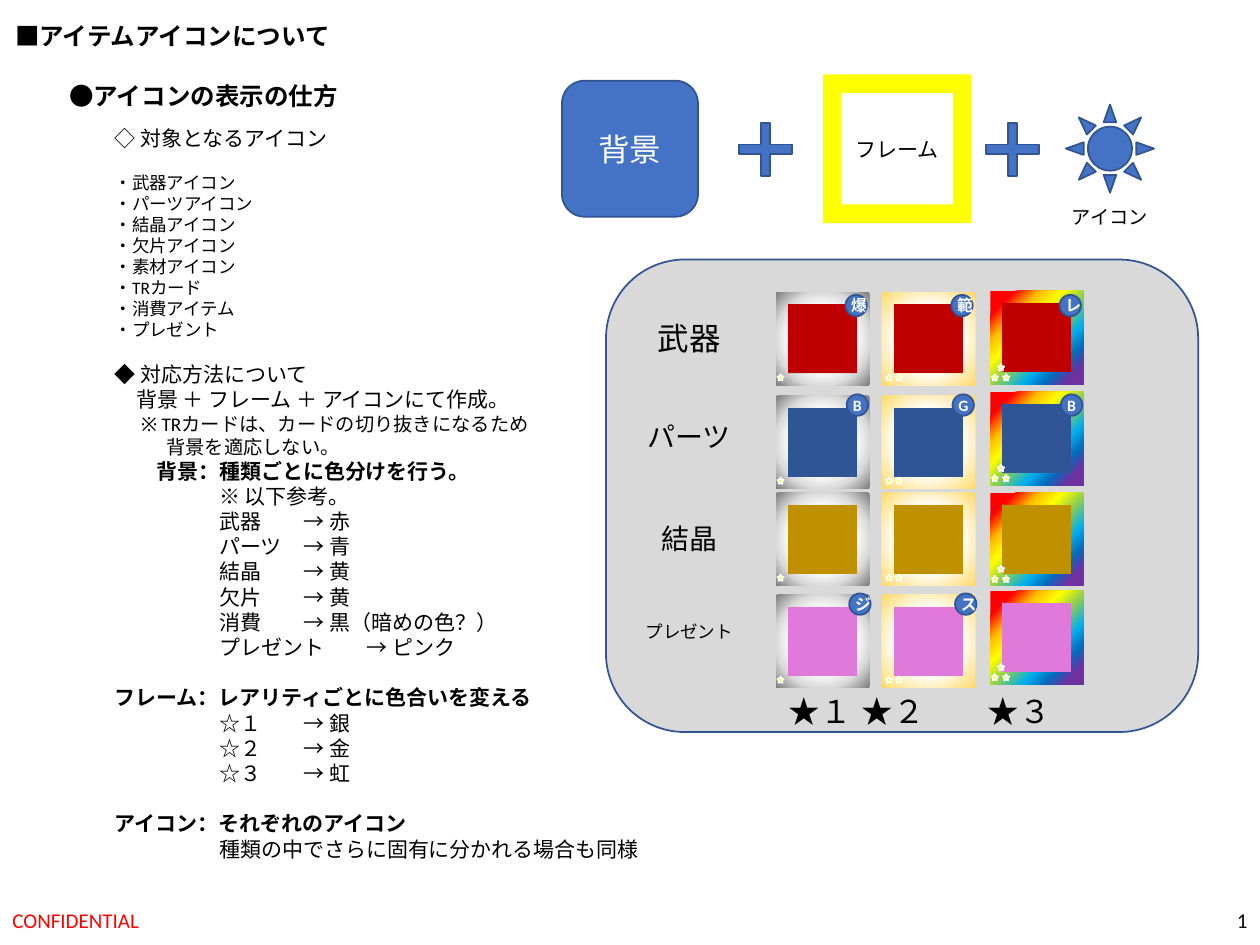
from lxml.etree import SubElement
from pptx import Presentation
from pptx.dml.color import RGBColor
from pptx.enum.shapes import MSO_SHAPE
from pptx.enum.text import MSO_ANCHOR, MSO_AUTO_SIZE, PP_ALIGN
from pptx.oxml import parse_xml
from pptx.oxml.ns import nsdecls, qn
from pptx.util import Inches, Pt

BLUE, OUTLINE, WHITE, BLACK = "4472C4", "325491", "FFFFFF", "000000"
RADIAL = '<a:path path="circle"><a:fillToRect l="50000" t="50000" r="50000" b="50000"/></a:path>'
DIAGONAL = '<a:lin ang="2700000" scaled="0"/>'
SILVER = ([(49, WHITE), (71, "DBDBDB"), (100, "7C7C7C")], RADIAL)
GOLD = ([(50, WHITE), (83, "FFE699"), (100, "FFD966")], RADIAL)
RAINBOW = ([(13, "FF0000"), (27, "FFC000"), (39, "FFFF00"), (52, "92D050"),
            (67, "00B0F0"), (78, "0070C0"), (90, "7030A0")], DIAGONAL)

# Left offset of background and frame, frame style, and star offsets from the frame
RARITIES = [
    (0.01, 0, SILVER, [(0.01, 0.65)]),
    (0.86, 0.84, GOLD, [(0.03, 0.65), (0.11, 0.65)]),
    (1.71, 1.7, RAINBOW, [(0.01, 0.66), (0.1, 0.66), (0.06, 0.58)]),
]
# Label, label size and top, colour, tops of background, frame, rainbow frame and badge,
# left offset of the badge, badges
ITEM_KINDS = [
    ("武器", 18, 0.42, "C00000", 0.3, 0.26, 0.25, 0.28, 0.55, "爆範レ"),
    ("パーツ", 16, 1.22, "2F5597", 1.1, 1.08, 1.05, 1.07, 0.56, "BGB"),
    ("結晶", 16, 2.03, "BF9000", 1.9, 1.85, 1.85, 0, 0, ""),
    ("プレゼント", 10, 2.82, "E179DA", 2.68, 2.66, 2.63, 2.65, 0.58, "ジス"),
]

# Text, size, bold, indent, tab stop, space before
EXPLANATION = [
    ("◇ 対象となるアイコン", 12, False, 0, None, 0),
    ("・武器アイコン", 10, False, 0, None, 12),
    *[(item, 10, False, 0, None, 0) for item in (
        "・パーツアイコン", "・結晶アイコン", "・欠片アイコン", "・素材アイコン",
        "・TRカード", "・消費アイテム", "・プレゼント")],
    ("◆ 対応方法について", 12, False, 0, None, 12),
    ("背景 ＋ フレーム ＋ アイコンにて作成。", 12, False, 0.17, None, 0),
    ("※ TRカードは、カードの切り抜きになるため", 11, False, 0.21, None, 0),
    ("背景を適応しない。", 11, False, 0.41, None, 0),
    ("背景：種類ごとに色分けを行う。", 12, True, 0.33, None, 0),
    ("※ 以下参考。", 12, False, 0.83, None, 0),
    *[(f"{kind}\t→ {colour}", 12, False, 0.83, 1.7, 0) for kind, colour in (
        ("武器", "赤"), ("パーツ", "青"), ("結晶", "黄"), ("欠片", "黄"),
        ("消費", "黒（暗めの色？）"), ("プレゼント", "ピンク"))],
    ("フレーム：レアリティごとに色合いを変える", 12, True, 0, None, 14.4),
    *[(f"{stars}\t→ {colour}", 12, False, 0.83, 1.54, 0) for stars, colour in (
        ("☆１", "銀"), ("☆２", "金"), ("☆３", "虹"))],
    ("アイコン：それぞれのアイコン", 12, True, 0, None, 14.4),
    ("種類の中でさらに固有に分かれる場合も同様", 12, False, 0.83, None, 0),
]


def rgb(hex_colour):
    return RGBColor.from_string(hex_colour)


def indent_first_line(paragraph, indent, tabs=()):
    """Indent an unbulleted line and set its tab stops, in inches from the text edge."""
    properties = paragraph._p.get_or_add_pPr()
    properties.set("marL", "0")
    properties.set("indent", str(Inches(indent)))
    SubElement(properties, qn("a:buNone"))
    if tabs:
        tab_list = SubElement(properties, qn("a:tabLst"))
        for stop in tabs:
            SubElement(tab_list, qn("a:tab"), pos=str(Inches(stop)), algn="l")


def format_text(paragraph, size, colour=BLACK, bold=False, align=PP_ALIGN.LEFT, font="Calibri"):
    paragraph.alignment = align
    paragraph.font.size = Pt(size)
    paragraph.font.bold = bold
    paragraph.font.name = font
    paragraph.font.color.rgb = rgb(colour)


def place(placeholder, left, top, width, height):
    placeholder.left, placeholder.top = Inches(left), Inches(top)
    placeholder.width, placeholder.height = Inches(width), Inches(height)


def add_text(slide, box, text, size, wrap=True, anchor=MSO_ANCHOR.TOP, **style):
    frame = slide.shapes.add_textbox(*map(Inches, box)).text_frame
    frame.word_wrap = wrap
    frame.vertical_anchor = anchor
    paragraph = frame.paragraphs[0]
    paragraph.text = text
    format_text(paragraph, size, **style)
    return paragraph


def add_preset(shapes, kind, box, fill=BLUE, line=OUTLINE, adjustment=None):
    shape = shapes.add_shape(kind, *map(Inches, box))
    shape.shadow.inherit = False
    shape.fill.solid()
    shape.fill.fore_color.rgb = rgb(fill)
    if line:
        shape.line.color.rgb = rgb(line)
        shape.line.width = Pt(1)
    else:
        shape.line.fill.background()
    if adjustment is not None:
        shape.adjustments[0] = adjustment
    return shape


def label(shape, text, size, **style):
    shape.text_frame.vertical_anchor = MSO_ANCHOR.MIDDLE
    paragraph = shape.text_frame.paragraphs[0]
    paragraph.text = text
    format_text(paragraph, size, align=PP_ALIGN.CENTER, **style)


def fill_gradient(shape, stops, direction):
    stop_list = "".join(f'<a:gs pos="{position * 1000}"><a:srgbClr val="{colour}"/></a:gs>'
                        for position, colour in stops)
    gradient = parse_xml(f'<a:gradFill {nsdecls("a")} rotWithShape="1">'
                         f'<a:gsLst>{stop_list}</a:gsLst>{direction}</a:gradFill>')
    properties = shape._element.spPr
    properties.replace(properties.find(qn("a:solidFill")), gradient)


def add_headings(slide):
    title = slide.shapes.title
    place(title, 0.02, 0.12, 2.75, 0.34)
    frame = title.text_frame
    frame.text = "■アイテムアイコンについて"
    frame.word_wrap = False
    frame.auto_size = MSO_AUTO_SIZE.NONE
    frame.vertical_anchor = MSO_ANCHOR.TOP
    format_text(frame.paragraphs[0], 14, bold=True, font="Arial")
    add_text(slide, (0.45, 0.59, 2.36, 0.34), "●アイコンの表示の仕方", 14, wrap=False, bold=True)


def add_explanation(slide, left, top, width, height):
    body = slide.placeholders[1]
    place(body, left, top, width, height)
    frame = body.text_frame
    frame.auto_size = MSO_AUTO_SIZE.NONE
    for number, (text, size, bold, indent, tab, space) in enumerate(EXPLANATION):
        paragraph = frame.add_paragraph() if number else frame.paragraphs[0]
        paragraph.text = text
        paragraph.space_before = Pt(space)
        indent_first_line(paragraph, indent, [tab] if tab else [])
        format_text(paragraph, size, bold=bold)


def add_formula(slide, left, top):
    """Background plus frame plus icon."""
    shapes = slide.shapes
    background = add_preset(shapes, MSO_SHAPE.ROUNDED_RECTANGLE, (left, top + 0.05, 1.08, 1.08))
    label(background, "背景", 18, colour=WHITE)
    add_preset(shapes, MSO_SHAPE.SUN, (left + 4, top + 0.24, 0.7, 0.7))
    for offset in (1.33, 3.29):
        add_preset(shapes, MSO_SHAPE.MATH_PLUS, (left + offset, top + 0.31, 0.57, 0.57),
                   adjustment=0.129)
    frame = add_preset(shapes, MSO_SHAPE.FRAME, (left + 2.07, top, 1.18, 1.18), "FFFF00", None)
    label(frame, "フレーム", 12)
    add_text(slide, (left + 3.9, top + 0.99, 0.9, 0.29), "アイコン", 11, align=PP_ALIGN.CENTER)


def add_item_icon(slide, left, background_top, frame_top, colour, rarity):
    background_left, frame_left, style, stars = rarity
    add_preset(slide.shapes, MSO_SHAPE.ROUNDED_RECTANGLE,
               (left + background_left, background_top, 0.67, 0.67), colour)
    frame = add_preset(slide.shapes, MSO_SHAPE.FRAME,
                       (left + frame_left, frame_top, 0.74, 0.74), line=None)
    fill_gradient(frame, *style)
    star_shapes = slide.shapes.add_group_shape().shapes if len(stars) > 1 else slide.shapes
    for x, y in stars:
        add_preset(star_shapes, MSO_SHAPE.STAR_5_POINT,
                   (left + frame_left + x, frame_top + y, 0.05, 0.05), "FFFF00", WHITE, 0.259)


def add_examples(slide, left, top, width, height):
    """Panel of sample icons, one row per item kind and one column per rarity."""
    add_preset(slide.shapes, MSO_SHAPE.ROUNDED_RECTANGLE, (left, top, width, height), "D9D9D9")
    icons_left = left + 1.35
    for (name, size, name_top, colour, background_top, frame_top, rainbow_top,
         badge_top, badge_left, badges) in ITEM_KINDS:
        add_text(slide, (left + 0.2, top + name_top, 0.92, 0.4), name, size,
                 align=PP_ALIGN.CENTER)
        for rarity in RARITIES:
            icon_top = rainbow_top if rarity[2] is RAINBOW else frame_top
            add_item_icon(slide, icons_left, top + background_top, top + icon_top, colour, rarity)
        for rarity, letter in zip(RARITIES, badges):
            badge = add_preset(slide.shapes, MSO_SHAPE.OVAL,
                               (icons_left + rarity[1] + badge_left, top + badge_top, 0.17, 0.17))
            label(badge, letter, 9, colour=WHITE, bold=True)
    captions = add_text(slide, (left + 0.43, top + 3.38, 4.2, 0.4), "★１\t★２\t★３", 18)
    indent_first_line(captions, 0.92, [1.73, 2.6])


def add_footer(slide, top, height):
    add_text(slide, (0, top, 3.38, height), "CONFIDENTIAL", 12, colour="FF0000",
             anchor=MSO_ANCHOR.MIDDLE)
    add_text(slide, (7.75, top, 2.25, height), "1", 12, align=PP_ALIGN.RIGHT,
             anchor=MSO_ANCHOR.MIDDLE)


def main():
    presentation = Presentation()
    presentation.slide_width, presentation.slide_height = Inches(10), Inches(7.5)
    slide = presentation.slides.add_slide(presentation.slide_layouts[1])
    add_headings(slide)
    add_explanation(slide, 0.81, 0.95, 4.84, 6.01)
    add_formula(slide, 4.46, 0.59)
    add_examples(slide, 4.81, 2.06, 4.7, 3.75)
    add_footer(slide, 7.1, 0.4)
    presentation.save("out.pptx")


if __name__ == "__main__":
    main()
